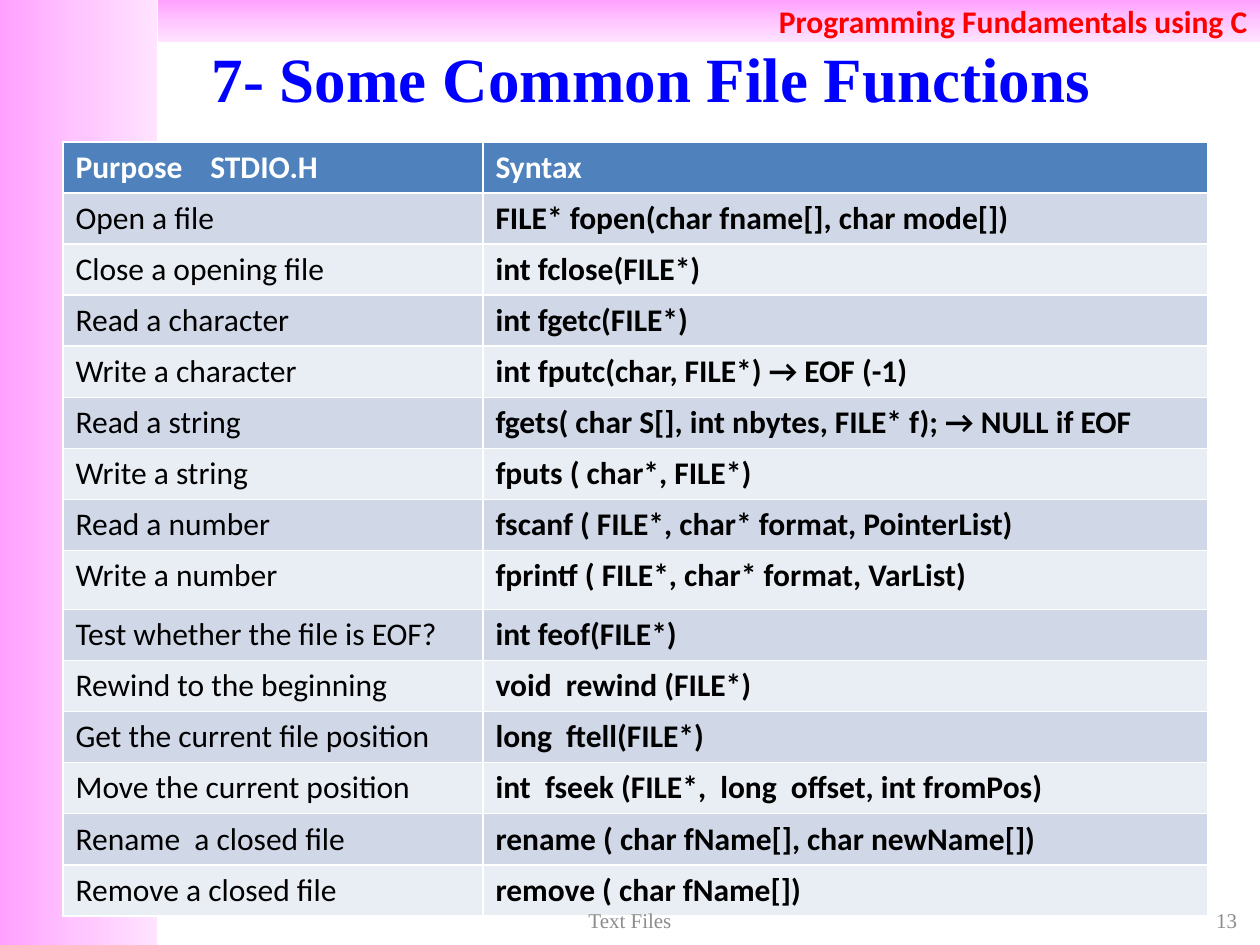
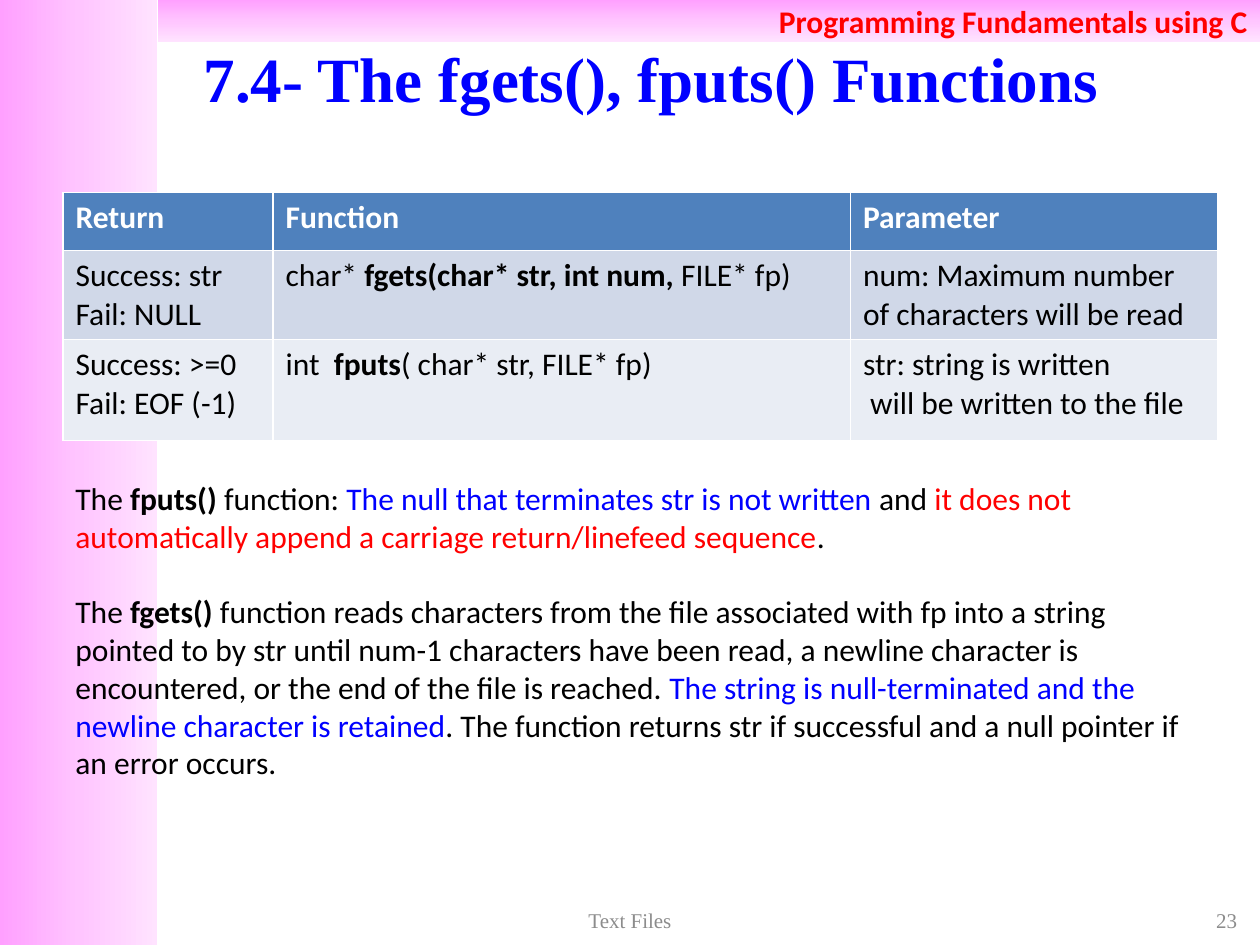
"""Builds two lecture slides about the file functions of C."""
from copy import deepcopy
from dataclasses import dataclass

from lxml.etree import SubElement
from pptx import Presentation
from pptx.dml.color import RGBColor as Color
from pptx.enum.shapes import MSO_SHAPE as Preset
from pptx.enum.text import MSO_ANCHOR as Anchor, PP_ALIGN as Align
from pptx.oxml.ns import qn
from pptx.util import Pt


@dataclass(frozen=True)
class Theme:
    band = [Color.from_string(code) for code in ("FFA0FF", "FFC5FF", "FFE3FF")]
    rows = [Color.from_string(code) for code in ("D0D8E8", "E9EDF4")]
    header = Color.from_string("4F81BD")
    white = Color.from_string("FFFFFF")
    black = Color.from_string("000000")
    blue = Color.from_string("0000FF")
    red = Color.from_string("FF0000")
    gray = Color.from_string("8C8C8C")
    sans = "Calibri"
    serif = "Times New Roman"
    title_size = Pt(36)
    body_size = Pt(18)
    footer_size = Pt(12)


theme = Theme()


def write(frame, paras, color=theme.black, bold=False, size=theme.body_size,
          name=theme.sans, align=Align.LEFT):
    """Fills a frame; a paragraph is a string or a list of (text, font changes)."""
    frame.word_wrap = True
    for index, spans in enumerate(paras):
        para = frame.add_paragraph() if index else frame.paragraphs[0]
        para.alignment = align
        para.font.name, para.font.size = name, size
        para.font.bold, para.font.color.rgb = bold, color
        for text, changes in [(spans, {})] if isinstance(spans, str) else spans:
            span = para.add_run()
            span.text = text
            if "bold" in changes:
                span.font.bold = changes["bold"]
            if "color" in changes:
                span.font.color.rgb = changes["color"]


def add_band(page, left, top, width, height, angle):
    """Adds a pink gradient band without a line."""
    band = page.shapes.add_shape(Preset.RECTANGLE, Pt(left), Pt(top), Pt(width), Pt(height))
    band.shadow.inherit = False
    band.line.fill.background()
    band.fill.gradient()
    band.fill.gradient_angle = angle
    stops = band.fill._xPr.find(qn("a:gradFill")).find(qn("a:gsLst"))
    stops.append(deepcopy(stops[0]))
    for index, stop in enumerate(band.fill.gradient_stops):
        stop.position = index / 2
        stop.color.rgb = theme.band[index]
    return band


strong = {"bold": True}
blue = {"color": theme.blue}
red = {"color": theme.red}

common_functions = [
    ("Purpose\tSTDIO.H", "Syntax"),
    ("Open a file", "FILE* fopen(char fname[], char mode[])"),
    ("Close a opening file", "int fclose(FILE*)"),
    ("Read a character", "int fgetc(FILE*)"),
    ("Write a character", "int fputc(char, FILE*) → EOF (-1)"),
    ("Read a string", "fgets( char S[], int nbytes, FILE* f); → NULL if EOF"),
    ("Write a string", "fputs ( char*, FILE*)"),
    ("Read a number", "fscanf ( FILE*, char* format, PointerList)"),
    ("Write a number", "fprintf ( FILE*, char* format, VarList)"),
    ("Test whether the file is EOF?", "int feof(FILE*)"),
    ("Rewind to the beginning", "void  rewind (FILE*)"),
    ("Get the current file position", "long  ftell(FILE*)"),
    ("Move the current position", "int  fseek (FILE*,  long  offset, int fromPos)"),
    ("Rename  a closed file", "rename ( char fName[], char newName[])"),
    ("Remove a closed file", "remove ( char fName[])"),
]
string_functions = [
    ("Return", "Function", "Parameter"),
    (["Success: str", "Fail: NULL"],
     [[("char* ", {}), ("fgets(char* str, int num, ", strong), ("FILE* fp)", {})]],
     "num: Maximum number of characters will be read"),
    (["Success: >=0", "Fail: EOF (-1)"],
     [[("int  ", {}), ("fputs", strong), ("( char* str, FILE* fp)", {})]],
     ["str: string is written", " will be written to the file"]),
]
remarks = [
    [("The ", {}), ("fputs() ", strong), ("function: ", {}),
     ("The null that terminates str is not written ", blue), ("and ", {}),
     ("it does not automatically append a carriage return/linefeed sequence", red),
     (".", {})],
    [("The ", {}), ("fgets()", strong),
     (" function reads characters from the file associated with fp into a string "
      "pointed to by str until num-1 characters have been read, a newline character "
      "is encountered, or the end of the file is reached. ", {}),
     ("The string is null-terminated and the newline character is retained", blue),
     (". The function returns str if successful and a null pointer if an error "
      "occurs.", {})],
]
slides = [
    ("7- Some Common File Functions", "13", common_functions, 81, [240, 414],
     [29.2] * 8 + [33.6] + [29.2] * 6, {1}),
    ("7.4- The fgets(), fputs() Functions", "23", string_functions, 110, [120, 330, 210],
     [33, 51, 57.6], set()),
]

deck = Presentation()
deck.slide_width, deck.slide_height = Pt(720), Pt(540)

for title, number, rows, table_top, widths, heights, bold_columns in slides:
    page = deck.slides.add_slide(deck.slide_layouts[6])
    add_band(page, 0, 0, 90, 540, 0)
    course = add_band(page, 90, 0, 630, 24, 270).text_frame
    course.vertical_anchor = Anchor.MIDDLE
    write(course, ["Programming Fundamentals using C"], theme.red, True, align=Align.RIGHT)

    heading = page.shapes.add_textbox(Pt(60), Pt(21.6), Pt(624), Pt(44.6)).text_frame
    heading.vertical_anchor = Anchor.MIDDLE
    write(heading, [title], theme.blue, True, theme.title_size, theme.serif, Align.CENTER)

    table = page.shapes.add_table(len(rows), len(widths), Pt(36), Pt(table_top),
                                  Pt(sum(widths)), Pt(sum(heights))).table
    for column, width in zip(table.columns, widths):
        column.width = Pt(width)
    for row, (texts, height) in enumerate(zip(rows, heights)):
        table.rows[row].height = Pt(height)
        for column, text in enumerate(texts):
            cell = table.cell(row, column)
            cell.fill.solid()
            cell.fill.fore_color.rgb = theme.rows[(row - 1) % 2] if row else theme.header
            write(cell.text_frame, [text] if isinstance(text, str) else text,
                  theme.black if row else theme.white, row == 0 or column in bold_columns)
            if "\t" in text:
                properties = cell.text_frame.paragraphs[0]._p.get_or_add_pPr()
                tabs = SubElement(properties, qn("a:tabLst"))
                SubElement(tabs, qn("a:tab"), pos=str(Pt(77)), algn="l")
                properties.insert(0, tabs)

    for text, left, width, align in [(number, 546, 168, Align.RIGHT),
                                     ("Text Files", 246, 228, Align.CENTER)]:
        footer = page.shapes.add_textbox(Pt(left), Pt(516), Pt(width), Pt(19.8)).text_frame
        footer.vertical_anchor = Anchor.MIDDLE
        write(footer, [text], theme.gray, False, theme.footer_size, theme.serif, align)

notes = page.shapes.add_textbox(Pt(36), Pt(270), Pt(660), Pt(204)).text_frame
write(notes, remarks)
notes.paragraphs[0].space_after = Pt(21.6)

deck.save("out.pptx")
